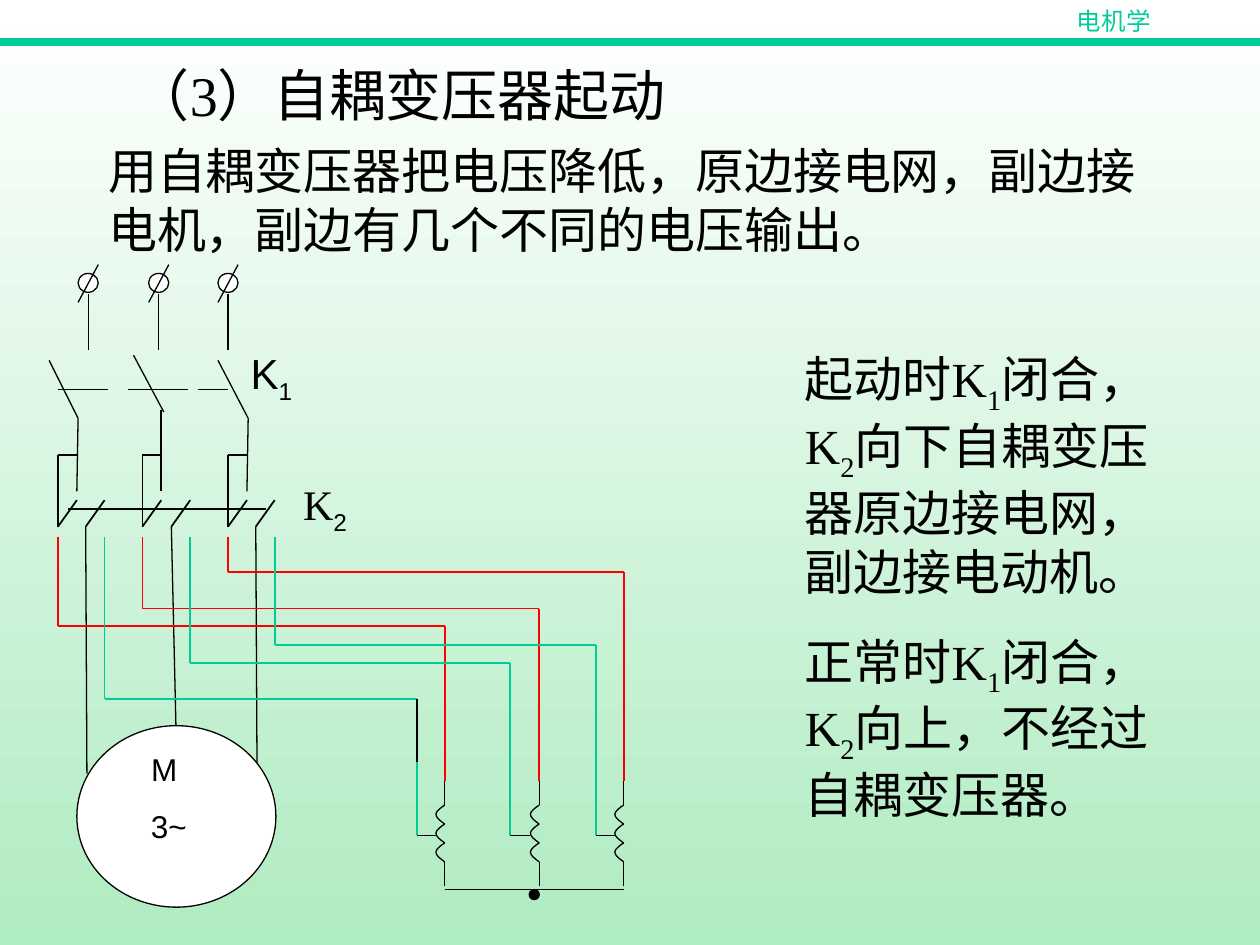
from lxml.etree import SubElement
from pptx import Presentation
from pptx.dml.color import RGBColor
from pptx.enum.shapes import MSO_CONNECTOR, MSO_SHAPE
from pptx.enum.text import MSO_AUTO_SIZE, PP_ALIGN
from pptx.oxml.ns import qn
from pptx.util import Inches, Pt

BLACK, WHITE, RED, GREEN, MINT = "000000", "FFFFFF", "FF0000", "00CC99", "B0ECC1"
SERIF, SANS = "Times New Roman", "Arial"

# "_" lowers the next character; fields: box, paragraphs, size, font, sub font, centred, left margin
HEADER = ((8.09, 0, 1.5, 0.34), ["电机学"], 14, SERIF, SERIF, True, 0)
BODY = [
    ((5.79, 2.72, 3.78, 3.87),
     ["起动时K_1闭合，K_2向下自耦变压器原边接电网，副边接电动机。",
      "正常时K_1闭合，K_2向上，不经过自耦变压器。"], 28, SERIF, SERIF, False, 0.5),
    ((0.25, 0.43, 5.35, 0.64), ["（3）自耦变压器起动"], 32, SERIF, SERIF, True, 0.5),
    ((0.26, 1.07, 8.94, 1.04),
     ["用自耦变压器把电压降低，原边接电网，副边接电机，副边有几个不同的电压输出。"],
     28, SERIF, SERIF, False, 0.5),
]
LABELS = [
    ((1.1, 5.9, 2.61, 0.4), ["M"], 18, SANS, SANS, False, 0),
    ((1.1, 6.36, 3.33, 0.4), ["3~"], 18, SANS, SANS, False, 0),
    ((1.89, 2.71, 2.46, 0.56), ["K_1"], 24, SANS, SANS, False, 0),
    ((1.73, 3.75, 1.2, 0.56), ["K_2"], 24, SERIF, SANS, True, 0.5),
]
# Per phase: terminal x, K1 blade (top, bottom), K1 foot x, K2 contact x,
# motor lead end, coil x, red wire level, green wire level
PHASES = [
    (0.7, (0.39, 2.86), (0.62, 3.32), 0.61, 0.46, (0.69, 6.14), 3.53, 4.97, 5.55),
    (1.26, (1.06, 2.82), (1.3, 3.27), 1.28, 1.13, (1.4, 5.92), 4.28, 4.83, 5.26),
    (1.81, (1.73, 2.86), (1.97, 3.32), 1.96, 1.81, (2.04, 6.07), 4.95, 4.54, 5.12),
]
BARS = [(0.46, 0.86), (1.02, 1.49), (1.57, 1.81)]
COIL = [6.39, 6.54, 6.69]
# Start point, then three points for each of two curves, from the coil axis and turn top
TURN = [(0, 0.15), (-0.04, 0.12), (-0.07, 0.1), (-0.07, 0.07),
        (-0.07, 0.05), (-0.02, 0.01), (0, 0)]

deck = Presentation()
deck.slide_width, deck.slide_height = Inches(10), Inches(7.5)
slide = deck.slides.add_slide(deck.slide_layouts[6])
shapes = slide.shapes


def color(code):
    return RGBColor.from_string(code)


def trace(points, code=BLACK, width=1):
    """Join successive points with straight connectors."""
    for start, end in zip(points, points[1:]):
        wire = shapes.add_connector(MSO_CONNECTOR.STRAIGHT, *map(Inches, start + end))
        wire.line.color.rgb = color(code)
        wire.line.width = Pt(width)
        SubElement(wire._element.spPr, qn("a:effectLst"))


def style(shape):
    shape.shadow.inherit = False
    shape.line.color.rgb = color(BLACK)
    shape.line.width = Pt(0.75)


def oval(box, fill):
    shape = shapes.add_shape(MSO_SHAPE.OVAL, *map(Inches, box))
    shape.fill.solid()
    shape.fill.fore_color.rgb = color(fill)
    style(shape)


def hump(x, top):
    """Draw one coil turn bulging left, as two cubic curves."""
    points = [(Inches(x + dx), Inches(top + dy)) for dx, dy in TURN]
    pen = shapes.build_freeform(*points[0])
    pen.add_line_segments(points[1:], close=False)
    turn = pen.convert_to_shape()
    lines = list(turn._element.iter(qn("a:lnTo")))
    outline = lines[0].getparent()
    for i in range(0, len(lines), 3):
        curve = SubElement(outline, qn("a:cubicBezTo"))
        for line in lines[i:i + 3]:
            curve.append(line[0])
            outline.remove(line)
    turn.fill.background()
    style(turn)


def write(box, lines, size, face, sub, centred, margin):
    area = shapes.add_textbox(*map(Inches, box))
    frame = area.text_frame
    frame.word_wrap = True
    frame.auto_size = MSO_AUTO_SIZE.SHAPE_TO_FIT_TEXT
    for i, line in enumerate(lines):
        para = frame.add_paragraph() if i else frame.paragraphs[0]
        if i:
            para.space_before = Pt(17.5)
        para.alignment = PP_ALIGN.CENTER if centred else PP_ALIGN.LEFT
        if margin:
            props = para._p.get_or_add_pPr()
            props.set("marL", str(Inches(margin)))
            props.set("indent", "0")
        first, *rest = line.split("_")
        pieces = [(first, False)]
        for part in rest:
            pieces += [(part[0], True), (part[1:], False)]
        for text, low in pieces:
            if not text:
                continue
            run = para.add_run()
            run.text = text
            run.font.size = Pt(size)
            run.font.name = sub if low else face
            run.font.color.rgb = color(BLACK if size > 14 else GREEN)
            if low:
                run._r.get_or_add_rPr().set("baseline", "-25000")


back = slide.background.fill
back.gradient()
back.gradient_angle = 270
for stop, code in zip(back.gradient_stops, (WHITE, MINT)):
    stop.color.rgb = color(code)

trace([(0, 0.33), (10, 0.33)], GREEN, 4.5)
write(*HEADER)

# Supply terminals, switches and motor leads
for x, top, foot, pole, left, lead, *_ in PHASES:
    oval((x - 0.08, 2.17, 0.16, 0.15), WHITE)
    trace([(x, 2.33), (x, 2.78)], width=0.75)
    trace([(x + 0.08, 2.1), (x - 0.08, 2.4)], width=0.75)
    trace([top, foot], width=0.75)
    if foot[0] == 1.3:
        trace([(pole, 3.25), (pole, 3.9)])
    else:
        trace([foot, (pole, 3.9)], width=0.75)
    trace([(pole, 3.61), (left, 3.61), (left, 4.18), (left + 0.15, 3.97)])
    out = lead[0] - 0.04 if foot[0] == 1.3 else lead[0] - 0.01
    trace([(out, 4.18), (out + 0.15, 3.97)])
    trace([(out, 4.18), lead], width=0.75)
for start, end in BARS:
    trace([(start, 3.09), (end, 3.09)], width=0.75)
trace([(0.54, 4.04), (2.11, 4.04)])
oval((0.61, 5.76, 1.58, 1.44), WHITE)

# Autotransformer: coils, red supply wires and green taps
for *_, left, lead, x, high, low in PHASES:
    for y in COIL:
        hump(x, y)
    trace([(x, 6.2), (x, 6.39)], width=0.75)
    trace([(x, 6.84), (x, 7.03)], width=0.75)
    trace([(left, 4.26), (left, high), (x, high), (x, 6.2)], RED)
    first = low == 5.55
    tap = x - (0.23 if x == 4.28 else 0.22)
    near = left + (0.38 if x == 4.28 else 0.37)
    bend = 6.05 if first else 6.12
    trace([(x - 0.07, 6.63), (tap, 6.63)])
    trace([(near, 4.26), (near, low), (tap, low)], GREEN)
    trace([(tap, low), (tap, bend)], BLACK if first else GREEN)
    trace([(tap, bend), (tap, 6.63)], GREEN)
trace([(3.53, 7.06), (4.95, 7.06)])
oval((4.2, 7.06, 0.08, 0.08), BLACK)

for item in LABELS + BODY:
    write(*item)

deck.save("out.pptx")
